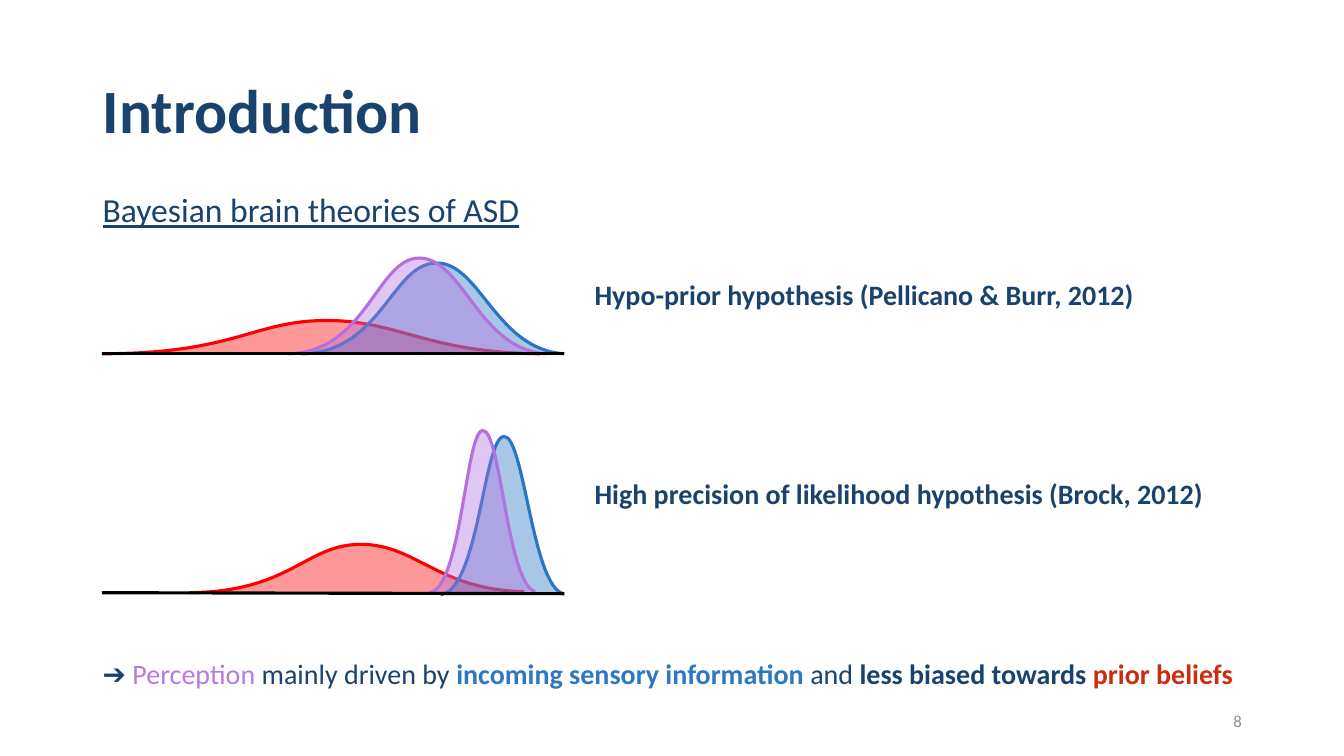
from lxml.etree import SubElement
from pptx import Presentation
from pptx.dml.color import RGBColor
from pptx.enum.shapes import MSO_CONNECTOR
from pptx.enum.text import MSO_ANCHOR, MSO_AUTO_SIZE, PP_ALIGN
from pptx.oxml.ns import qn
from pptx.util import Pt

PX = 9144  # 100 px to the inch
PAGE_HEIGHT = 750
FONT = "Calibri"
NAVY = RGBColor(0x19, 0x43, 0x6D)
GREY = RGBColor(0x8C, 0x8C, 0x8C)
BLACK = RGBColor(0, 0, 0)
LILAC_TEXT = RGBColor(0xB8, 0x79, 0xE1)
BLUE_TEXT = RGBColor(0x2D, 0x78, 0xC4)
RED_TEXT = RGBColor(0xCA, 0x2D, 0x0F)
PRIOR = RGBColor(0xFF, 0, 0)
LIKELIHOOD = RGBColor(0x27, 0x75, 0xC3)
POSTERIOR = RGBColor(0xB3, 0x71, 0xDF)
CURVE_WIDTH = Pt(2.25)

# Content: spans are (text, colour, bold)
TITLE = ("Introduction", (92, 40, 1150, 145))
SUBTITLE = ("Bayesian brain theories of ASD", (92, 183, 445, 50))
HYPOTHESES = [
    ("Hypo-prior hypothesis (Pellicano & Burr, 2012)", (580, 270, 677, 44)),
    ("High precision of likelihood hypothesis (Brock, 2012)", (580, 468, 753, 44)),
]
CONCLUSION = [
    ("➔ ", NAVY, False),
    ("Perception ", LILAC_TEXT, False),
    ("mainly driven by ", NAVY, False),
    ("incoming sensory information ", BLUE_TEXT, True),
    ("and ", NAVY, False),
    ("less biased towards ", NAVY, True),
    ("prior beliefs", RED_TEXT, True),
]
CONCLUSION_BOX = (92, 646, 1190, 44)
PAGE_NUMBER = ("8", (942, 695, 300, 40))

# Each bell: colour, start point, then two Bézier pieces (two controls and an end)
PLOTS = [
    {
        "bells": [
            (PRIOR, (101, 351), [(234, 351), (251, 318), (324, 318)],
             [(396, 318), (423, 350), (536, 351)]),
            (LIKELIHOOD, (300, 351), [(379, 349), (389, 261), (433, 261)],
             [(476, 260), (492, 347), (560, 351)]),
            (POSTERIOR, (286, 351), [(364, 349), (374, 256), (416, 256)],
             [(459, 256), (475, 346), (541, 351)]),
        ],
        "axis": (101, 351, 560, 351),
    },
    {
        "bells": [
            (PRIOR, (188, 588), [(289, 587), (303, 540), (358, 540)],
             [(413, 540), (434, 585), (520, 587)]),
            (LIKELIHOOD, (437, 590), [(475, 586), (480, 433), (500, 433)],
             [(520, 432), (528, 582), (559, 589)]),
            (POSTERIOR, (426, 588), [(458, 584), (462, 427), (479, 427)],
             [(497, 427), (503, 579), (531, 587)]),
        ],
        "axis": (101, 588, 560, 589),
    },
]


def emu(lengths):
    return [length * PX for length in lengths]


def write_spans(para, spans, size, underline=None):
    for text, colour, bold in spans:
        span = para.add_run()
        span.text = text
        font = span.font
        font.name, font.size, font.bold = FONT, Pt(size), bold
        font.color.rgb = colour
        font.underline = underline


def add_text(page, place, spans, size, wrap=True, underline=None):
    frame = page.shapes.add_textbox(*emu(place)).text_frame
    frame.word_wrap = wrap
    write_spans(frame.paragraphs[0], spans, size, underline)
    return frame


def bend(bell):
    """Turn every three straight segments into one cubic piece."""
    outline = next(bell._element.iter(qn("a:path")))
    segments = outline.findall(qn("a:lnTo"))
    for first in range(0, len(segments), 3):
        piece = SubElement(outline, qn("a:cubicBezTo"))
        for segment in segments[first:first + 3]:
            piece.append(segment[0])
            outline.remove(segment)


def add_bell(page, colour, start, rise, fall):
    builder = page.shapes.build_freeform(*start, scale=PX)
    builder.add_line_segments(rise + fall, close=False)
    bell = builder.convert_to_shape()
    bend(bell)
    bell.shadow.inherit = False
    bell.fill.solid()
    bell.fill.fore_color.rgb = colour
    fill_colour = bell._element.spPr.find(qn("a:solidFill"))[0]
    SubElement(fill_colour, qn("a:alpha")).set("val", "40000")
    bell.line.color.rgb = colour
    bell.line.width = CURVE_WIDTH


def add_axis(page, ends):
    axis = page.shapes.add_connector(MSO_CONNECTOR.STRAIGHT, *emu(ends))
    axis.line.color.rgb = BLACK
    axis.line.width = CURVE_WIDTH
    SubElement(axis._element.spPr, qn("a:effectLst"))


def main():
    deck = Presentation()
    deck.slide_height = PAGE_HEIGHT * PX
    deck.slide_width = deck.slide_height * 16 // 9
    page = deck.slides.add_slide(deck.slide_layouts[5])

    # Title
    text, place = TITLE
    title = page.shapes.title
    title.left, title.top, title.width, title.height = emu(place)
    frame = title.text_frame
    frame.auto_size = MSO_AUTO_SIZE.NONE
    frame.vertical_anchor = MSO_ANCHOR.MIDDLE
    para = frame.paragraphs[0]
    para.alignment = PP_ALIGN.LEFT
    para.line_spacing = 0.9
    write_spans(para, [(text, NAVY, True)], 44)

    # Hypotheses, conclusion and subtitle
    for text, place in HYPOTHESES:
        add_text(page, place, [(text, NAVY, True)], 20)
    add_text(page, CONCLUSION_BOX, CONCLUSION, 20)
    text, place = SUBTITLE
    add_text(page, place, [(text, NAVY, False)], 24, wrap=False, underline=True)

    # Page number
    text, place = PAGE_NUMBER
    frame = add_text(page, place, [(text, GREY, False)], 12)
    frame.vertical_anchor = MSO_ANCHOR.MIDDLE
    frame.paragraphs[0].alignment = PP_ALIGN.RIGHT

    # Distributions
    for plot in PLOTS:
        for bell in plot["bells"]:
            add_bell(page, *bell)
        add_axis(page, plot["axis"])

    deck.save("out.pptx")


if __name__ == "__main__":
    main()
